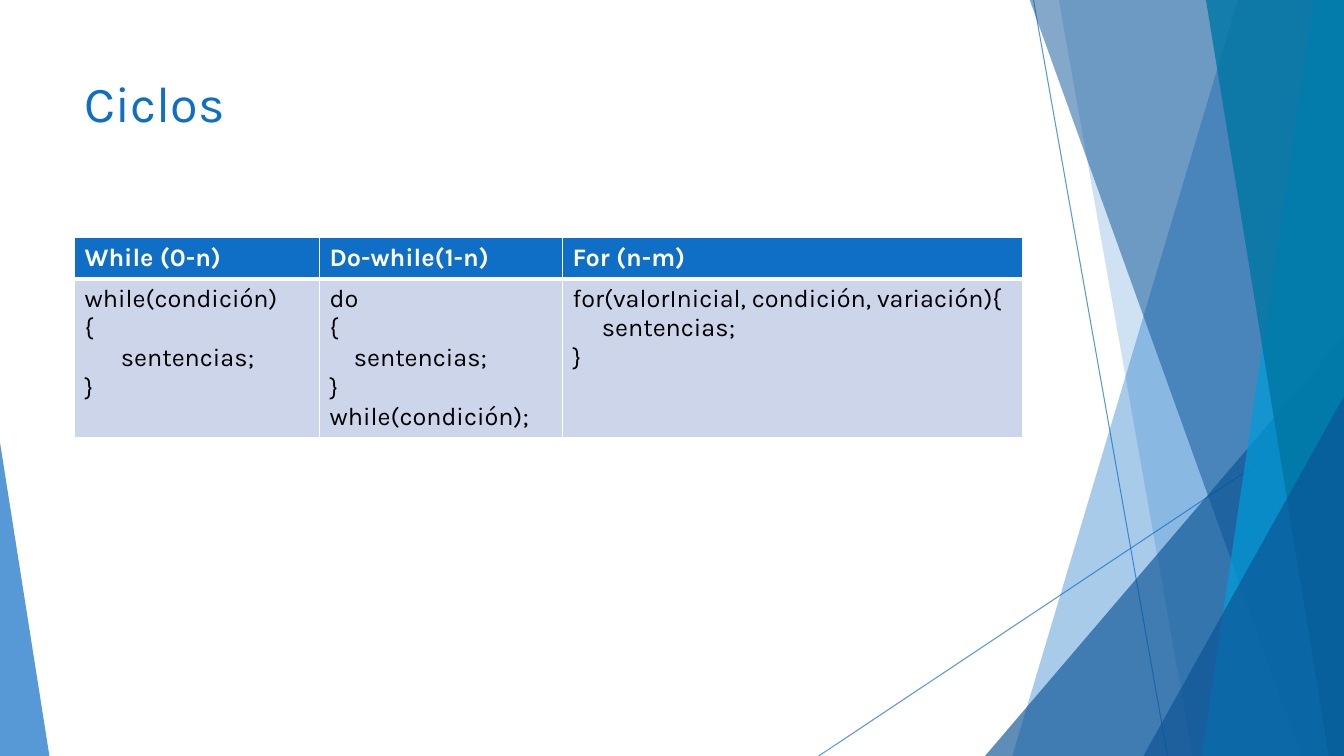
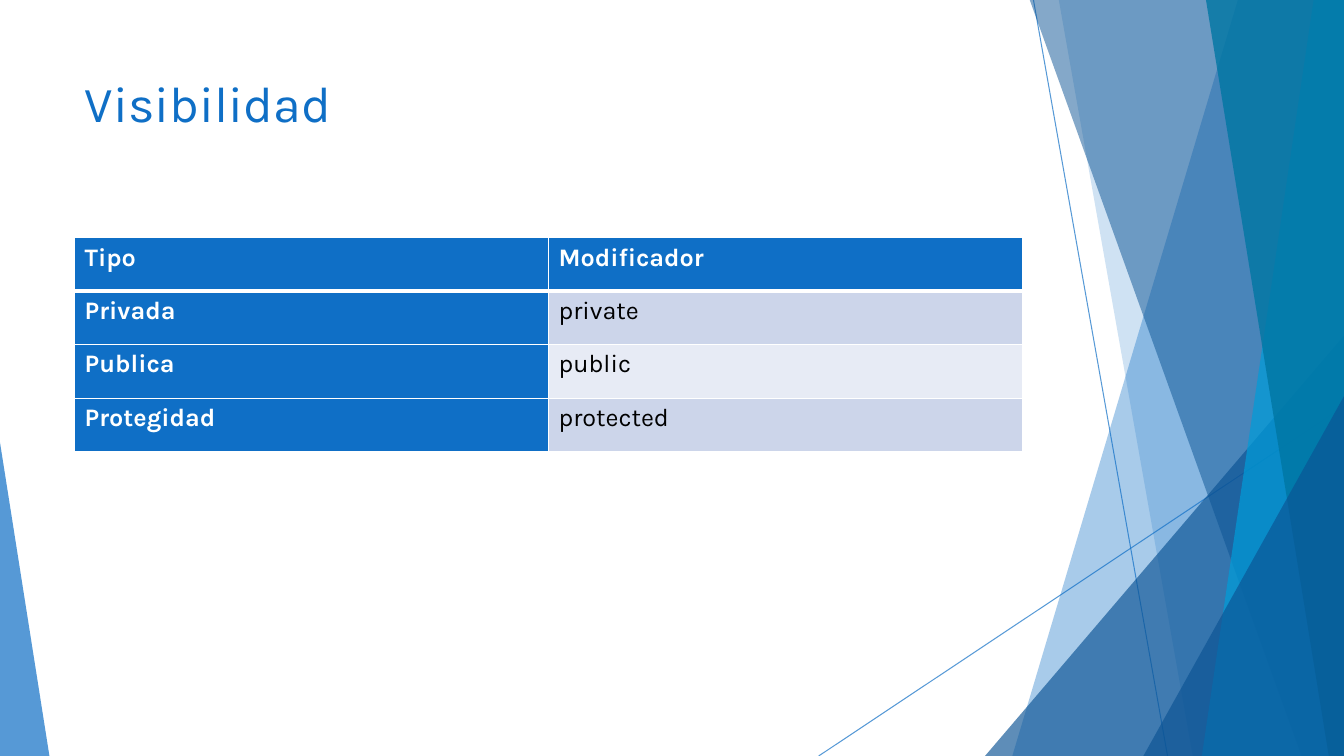
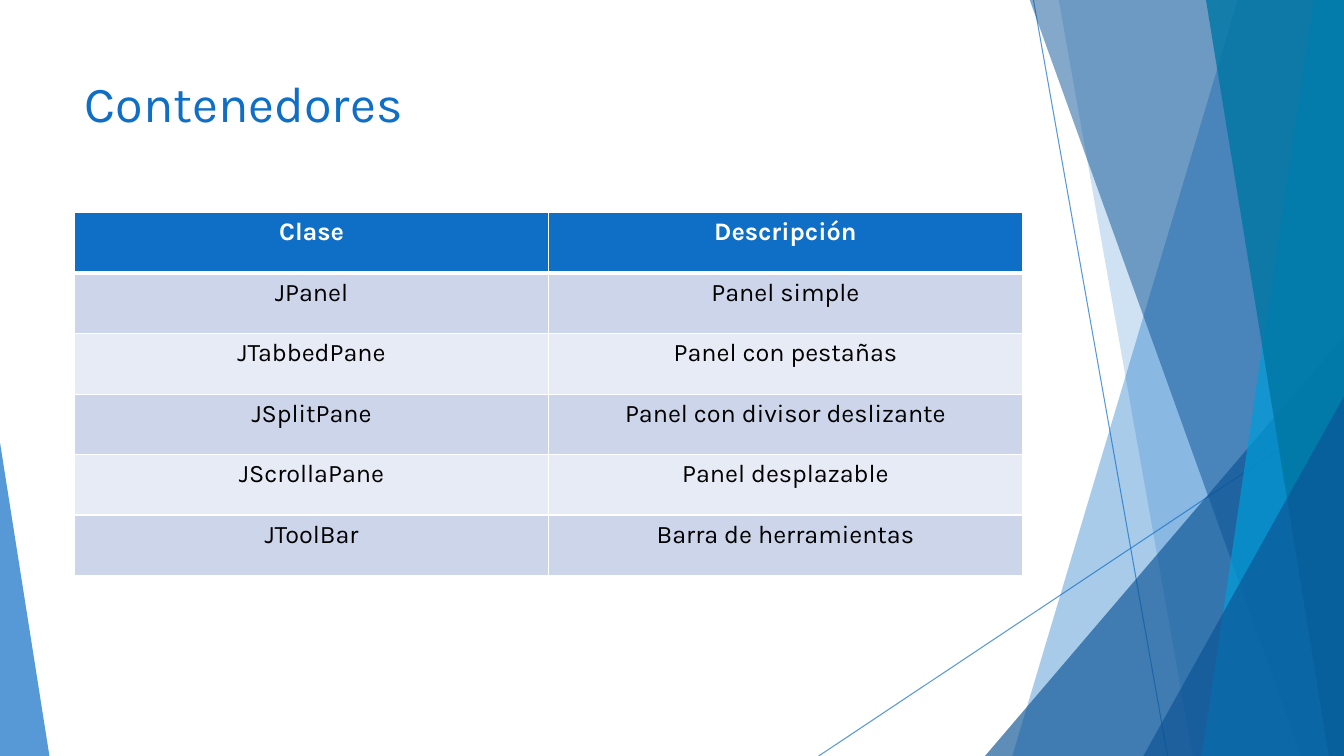
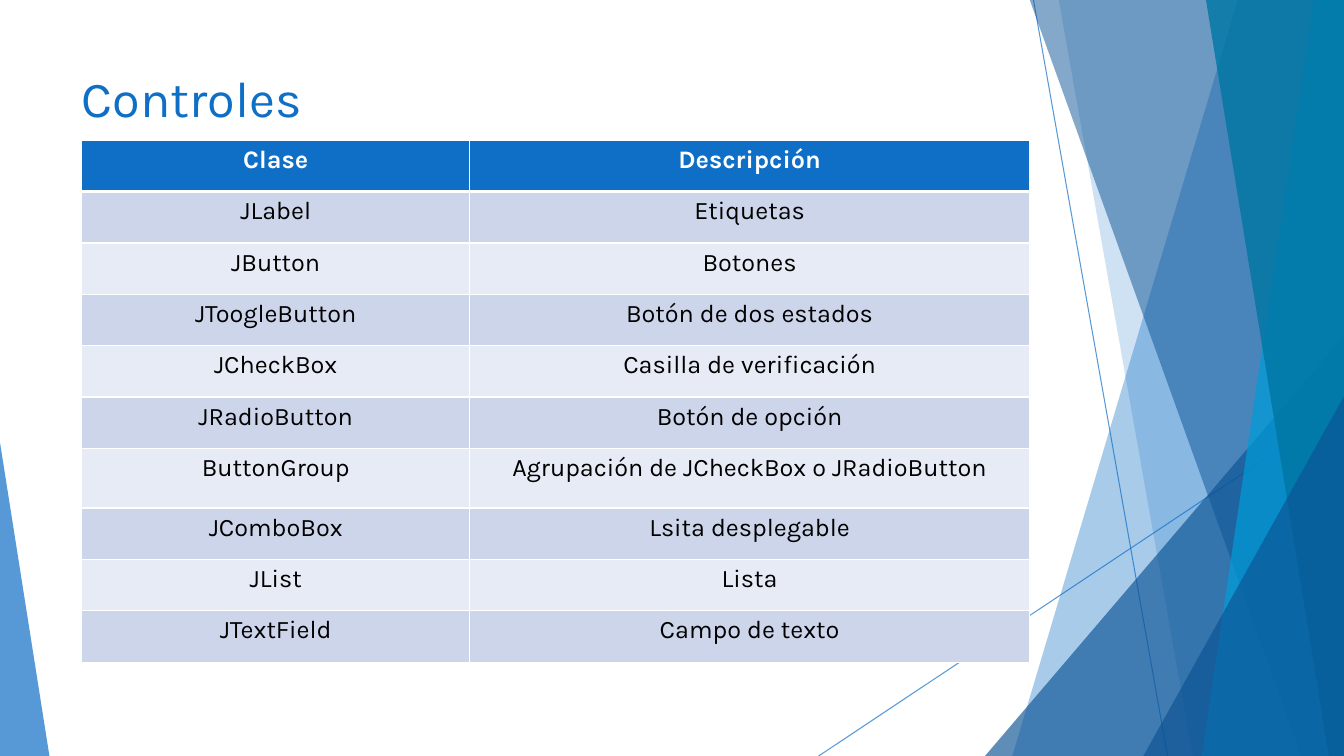
from dataclasses import dataclass

from lxml import etree
from pptx import Presentation
from pptx import util as u
from pptx.dml.color import RGBColor
from pptx.enum import shapes, text
from pptx.oxml.ns import qn

Inches = u.Inches


@dataclass(frozen=True)
class Theme:
    width: float = 13.33
    height: float = 7.5
    font: str = "Karla"
    title_size: int = 36
    table_size: int = 18
    blue: str = "0F6FC6"
    navy: str = "0B5394"
    sky: str = "009DD9"
    teal: str = "0076A3"
    white: str = "FFFFFF"
    black: str = "000000"
    bands: tuple = ("CCD5EA", "E7EBF5")
    title_box: tuple = (0.74, 0.67, 9.4, 1.44)


THEME = Theme()


def rgb(color):
    return RGBColor.from_string(color)


def set_font(paragraph, size, color, bold=False):
    font = paragraph.font
    font.name, font.size, font.bold = THEME.font, u.Pt(size), bold
    font.color.rgb = rgb(color)


def place(shape, box):
    shape.left, shape.top, shape.width, shape.height = map(Inches, box)


# Shared background facets
def set_alpha(shape, percent):
    for color in shape.element.spPr.iter(qn("a:srgbClr")):
        etree.SubElement(color, qn("a:alpha"), val=str(percent * 1000))


def paint(facet, color, alpha):
    facet.shadow.inherit = False
    facet.fill.solid()
    facet.fill.fore_color.rgb = rgb(color)
    set_alpha(facet, alpha)
    facet.line.fill.background()


def add_ray(group, start, end):
    ray = group.shapes.add_connector(
        shapes.MSO_CONNECTOR.STRAIGHT, *map(Inches, start + end))
    ray.line.color.rgb = rgb(THEME.blue)
    ray.line.width = u.Pt(0.75)
    set_alpha(ray, 70)
    etree.SubElement(ray.element.spPr, qn("a:effectLst"))


def add_ribbon(group, top_x, bottom_x, color, alpha):
    """Fill from a slanted left edge to the right side of the slide."""
    top = -0.01
    outline = group.shapes.build_freeform(Inches(top_x), Inches(top))
    corners = [(THEME.width, top), (THEME.width, THEME.height),
               (bottom_x, THEME.height)]
    outline.add_line_segments([tuple(map(Inches, c)) for c in corners])
    paint(outline.convert_to_shape(), color, alpha)


def add_wedge(group, left, right, top, apex, color, alpha):
    """Stand a right-angled triangle on the bottom of the slide."""
    wedge = group.shapes.add_shape(
        shapes.MSO_SHAPE.ISOSCELES_TRIANGLE, Inches(left), Inches(top),
        Inches(right - left), Inches(THEME.height - top))
    wedge.adjustments[0] = apex
    paint(wedge, color, alpha)


def add_facets(slide):
    group = slide.shapes.add_group_shape()
    right, bottom = THEME.width, THEME.height
    add_ray(group, (10.25, 0), (11.58, bottom))
    add_ray(group, (right, 4.03), (8.12, bottom))
    add_ribbon(group, 12.28, 10.04, THEME.blue, 36)
    add_ribbon(group, 10.5, 11.83, THEME.blue, 20)
    add_wedge(group, 9.77, right, 3.33, 1, THEME.navy, 66)
    add_ribbon(group, 10.21, 12.91, THEME.navy, 50)
    add_ribbon(group, 13.03, 11.92, THEME.sky, 70)
    add_ribbon(group, 11.96, 13.18, THEME.teal, 80)
    add_wedge(group, 11.34, right, 3.93, 1, THEME.navy, 66)
    add_wedge(group, 0, 0.49, 4.39, 0, THEME.blue, 70)
    return group


def prepare_layout(layout):
    for placeholder in list(layout.placeholders):
        if placeholder.placeholder_format.idx == 0:
            place(placeholder, THEME.title_box)
        else:
            placeholder.element.getparent().remove(placeholder.element)


# Title
def add_title(slide, wording, box):
    title = slide.shapes.title
    if box != THEME.title_box:
        place(title, box)
    frame = title.text_frame
    frame.text = wording
    frame.word_wrap = True
    frame.auto_size = text.MSO_AUTO_SIZE.NONE
    frame.vertical_anchor = text.MSO_ANCHOR.TOP
    frame.paragraphs[0].alignment = text.PP_ALIGN.LEFT
    set_font(frame.paragraphs[0], THEME.title_size, THEME.blue)


# Table
def set_borders(cell, bottom_width):
    properties = cell._tc.get_or_add_tcPr()
    for index, side in enumerate("LRTB"):
        width = bottom_width if side == "B" else 1
        border = etree.Element(qn(f"a:ln{side}"), w=str(u.Pt(width)))
        fill = etree.SubElement(border, qn("a:solidFill"))
        etree.SubElement(fill, qn("a:srgbClr"), val=THEME.white)
        properties.insert(index, border)


def fill_cell(cell, wording, fill, strong, align, indent):
    lines = wording.split("\n")
    cell.text = "\n".join(line.lstrip("\t") for line in lines)
    for line, paragraph in zip(lines, cell.text_frame.paragraphs):
        paragraph.alignment = align
        set_font(paragraph, THEME.table_size,
                 THEME.white if strong else THEME.black, strong)
        if line.startswith("\t"):
            paragraph._p.get_or_add_pPr().set("marL", str(Inches(indent)))
    cell.fill.solid()
    cell.fill.fore_color.rgb = rgb(fill)


def add_grid(slide, corner, widths, heights, rows, centered=True,
             strong_first=False, indents=None):
    indents = indents or [0] * len(widths)
    align = text.PP_ALIGN.CENTER if centered else text.PP_ALIGN.LEFT
    box = (*corner, sum(widths), sum(heights))
    table = slide.shapes.add_table(
        len(rows), len(widths), *map(Inches, box)).table
    for column, width in zip(table.columns, widths):
        column.width = Inches(width)
    for r, (row, height) in enumerate(zip(rows, heights)):
        table.rows[r].height = Inches(height)
        for c, wording in enumerate(row):
            strong = r == 0 or (strong_first and c == 0)
            fill = THEME.blue if strong else THEME.bands[(r - 1) % 2]
            cell = table.cell(r, c)
            fill_cell(cell, wording, fill, strong, align, indents[c])
            set_borders(cell, 3 if r == 0 else 1)


LOOPS = [
    ("While (0-n)", "Do-while(1-n)", "For (n-m)"),
    ("while(condición)\n{\n\tsentencias;\n}",
     "do\n{\n\tsentencias;\n}\nwhile(condición);",
     "for(valorInicial, condición, variación){\n\tsentencias;\n}"),
]
VISIBILITY = [
    ("Tipo", "Modificador"),
    ("Privada", "private"),
    ("Publica", "public"),
    ("Protegidad", "protected"),
]
CLASS_HEADER = ("Clase", "Descripción")
CONTAINERS = [
    CLASS_HEADER,
    ("JPanel", "Panel simple"),
    ("JTabbedPane", "Panel con pestañas"),
    ("JSplitPane", "Panel con divisor deslizante"),
    ("JScrollaPane", "Panel desplazable"),
    ("JToolBar", "Barra de herramientas"),
]
CONTROLS = [
    CLASS_HEADER,
    ("JLabel", "Etiquetas"),
    ("JButton", "Botones"),
    ("JToogleButton", "Botón de dos estados"),
    ("JCheckBox", "Casilla de verificación"),
    ("JRadioButton", "Botón de opción"),
    ("ButtonGroup", "Agrupación de JCheckBox o JRadioButton"),
    ("JComboBox", "Lsita desplegable"),
    ("JList", "Lista"),
    ("JTextField", "Campo de texto"),
]


def add_table_slide(deck, layout, title, title_box=THEME.title_box, **grid):
    slide = deck.slides.add_slide(layout)
    add_title(slide, title, title_box)
    add_grid(slide, **grid)
    return slide


def main():
    deck = Presentation()
    deck.slide_width = Inches(THEME.width)
    deck.slide_height = Inches(THEME.height)
    layout = deck.slide_layouts[5]
    prepare_layout(layout)

    loops = add_table_slide(
        deck, layout, "Ciclos", corner=(0.74, 2.36),
        widths=[2.43, 2.41, 4.56], heights=[0.41, 1.56], rows=LOOPS,
        centered=False, indents=[0.36, 0.24, 0.29])
    # Facets go behind the title of the layout, so every slide shows them
    layout.shapes.element.insert(2, add_facets(loops).element)

    add_table_slide(
        deck, layout, "Visibilidad", corner=(0.74, 2.36), widths=[4.7] * 2,
        heights=[0.53] * 4, rows=VISIBILITY, centered=False,
        strong_first=True)
    add_table_slide(
        deck, layout, "Contenedores", corner=(0.74, 2.11), widths=[4.7] * 2,
        heights=[0.6] * 6, rows=CONTAINERS)
    add_table_slide(
        deck, layout, "Controles", title_box=(0.71, 0.62, 9.4, 0.75),
        corner=(0.81, 1.39), widths=[3.85, 5.55],
        heights=[0.51] * 6 + [0.59] + [0.51] * 3, rows=CONTROLS)
    deck.save("out.pptx")


if __name__ == "__main__":
    main()
